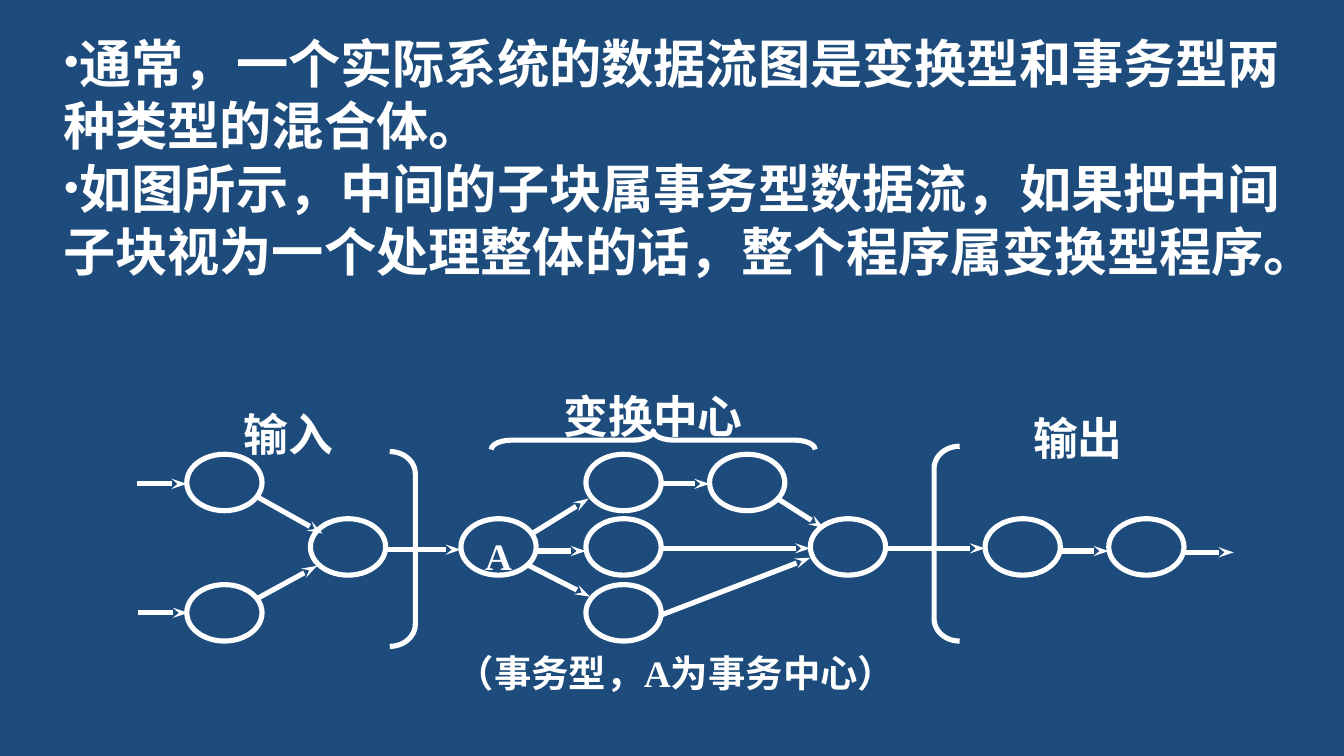
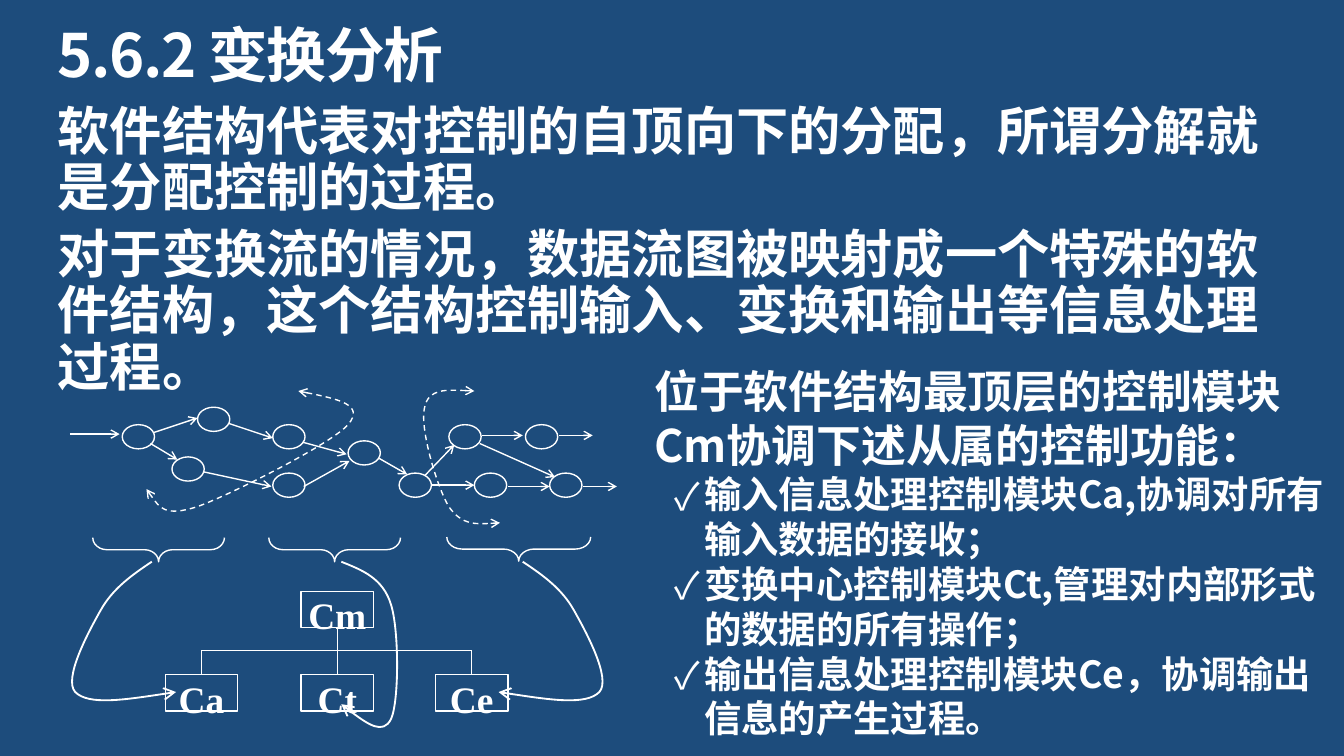
from lxml import etree
from pptx import Presentation
from pptx import util as u
from pptx.dml.color import RGBColor
from pptx.enum import dml, shapes, text
from pptx.oxml.ns import qn

PX = 9144
NAVY, WHITE = "1D4C7C", "FFFFFF"
SANS, SERIF = "Noto Sans CJK SC", "Times New Roman"
KIND = shapes.MSO_SHAPE


def px(n):
    return u.Emu(n * PX)


def rgb(code):
    return RGBColor.from_string(code)


def sub(node, tag, **attrs):
    return etree.SubElement(node, qn(tag), attrs)


def write(par, words, size, face):
    run = par.add_run()
    run.text = words
    font = run.font
    font.size, font.bold, font.name = u.Pt(size), True, face
    font.color.rgb = rgb(WHITE)
    sub(font._element, "a:ea", typeface=SANS)
    return run


def bullet(par, sign, face, left=0, hang=0, size=100):
    props = par._p.get_or_add_pPr()
    props.set("marL", str(left * PX))
    props.set("indent", str(-hang * PX))
    sub(props, "a:buSzPct", val=str(size * 1000))
    sub(props, "a:buFont", typeface=face)
    sub(props, "a:buChar", char=sign)


def box(slide, x, y, w, h, inset=(0, 0)):
    frame = slide.shapes.add_textbox(*map(px, (x, y, w, h))).text_frame
    margins(frame, *inset)
    return frame


def margins(frame, side, top):
    frame.word_wrap = True
    frame.vertical_anchor = text.MSO_ANCHOR.TOP
    frame.margin_left = frame.margin_right = px(side)
    frame.margin_top = frame.margin_bottom = px(top)


def pars(frame, items):
    for i, item in enumerate(items):
        par = frame.paragraphs[0] if i == 0 else frame.add_paragraph()
        yield i, par, item


def label(slide, x, y, w, h, words, size):
    par = box(slide, x, y, w, h).paragraphs[0]
    par.alignment = text.PP_ALIGN.CENTER
    write(par, words, size, SERIF)


def stroke(line, width):
    line.color.rgb = rgb(WHITE)
    line.width = u.Pt(width)


def tip(line, tag, kind, wide="med", long="med"):
    sub(line._get_or_add_ln(), tag, type=kind, w=wide, len=long)


def shape(slide, kind, x, y, w, h, width, words="", inset=(10, 5), turn=0, adj=None):
    item = slide.shapes.add_shape(kind, *map(px, (x, y, w, h)))
    item.shadow.inherit = False
    item.fill.background()
    stroke(item.line, width)
    item.rotation = turn
    if adj:
        item.adjustments[0] = adj
    if words:
        margins(item.text_frame, *inset)
        par = item.text_frame.paragraphs[0]
        par.alignment = text.PP_ALIGN.CENTER
        write(par, words, 20, SERIF)
    return item


def link(slide, x1, y1, x2, y2, width, head=None, start=None, end=None):
    wire = slide.shapes.add_connector(
        shapes.MSO_CONNECTOR.STRAIGHT, *map(px, (x1, y1, x2, y2)))
    stroke(wire.line, width)
    if head:
        tip(wire.line, "a:tailEnd", head, "sm", "med" if head == "stealth" else "sm")
    sub(wire._element.spPr, "a:effectLst")
    if start:
        wire.begin_connect(start, 2)
    if end:
        wire.end_connect(end, 0)


def curve(slide, points, width, dashed=False):
    pen = slide.shapes.build_freeform(*points[0], scale=PX)
    pen.add_line_segments(points[1:], close=False)
    item = pen.convert_to_shape()
    route = item._element.find(".//" + qn("a:path"))
    legs = route.findall(qn("a:lnTo"))
    for i in range(0, len(legs), 3):
        bend = sub(route, "a:cubicBezTo")
        for leg in legs[i:i + 3]:
            bend.append(leg[0])
            route.remove(leg)
    item.shadow.inherit = False
    item.fill.background()
    stroke(item.line, width)
    size = "sm" if dashed else "med"
    if dashed:
        item.line.dash_style = dml.MSO_LINE.DASH
        tip(item.line, "a:headEnd", "arrow", size, size)
    tip(item.line, "a:tailEnd", "arrow", size, size)


def mixed(slide):
    frame = box(slide, 47, 23, 922, 236)
    notes = [
        "通常，一个实际系统的数据流图是变换型和事务型两种类型的混合体。",
        "如图所示，中间的子块属事务型数据流，如果把中间子块视为一个处理整体的话，整个程序属变换型程序。",
    ]
    for _, par, words in pars(frame, notes):
        bullet(par, "•", SERIF, size=90)
        write(par, words, 28, SANS)

    bold = 2.75
    rows = {338: (139, 436, 528), 386: (231, 343, 436, 603, 733, 825), 435: (139, 436)}
    for y, cols in rows.items():
        for x in cols:
            shape(slide, KIND.OVAL, x, y, 56, 42, bold, "A" if x == 343 else "")
    flows = [
        (102, 360, 139, 360), (103, 456, 140, 456), (399, 410, 436, 410),
        (491, 360, 528, 360), (788, 410, 825, 410), (881, 411, 918, 411),
        (287, 409, 343, 409), (192, 370, 240, 397), (192, 445, 236, 421),
        (396, 397, 438, 371), (392, 420, 439, 444), (491, 408, 603, 408),
        (491, 458, 603, 415), (580, 372, 613, 393), (658, 408, 733, 408),
    ]
    for ends in flows:
        link(slide, *ends, bold, "stealth")
    shape(slide, KIND.LEFT_BRACKET, 695, 332, 19, 145, bold, adj=0.87)
    shape(slide, KIND.RIGHT_BRACKET, 290, 336, 19, 145, bold, adj=0.87)
    shape(slide, KIND.LEFT_BRACE, 479, 207, 14, 241, bold, turn=90, adj=1.08)
    label(slide, 332, 484, 342, 25, "（事务型，A为事务中心）", 20)
    label(slide, 412, 289, 148, 24, "变换中心", 24)
    label(slide, 159, 303, 111, 24, "输入", 24)
    label(slide, 737, 306, 130, 24, "输出", 24)


def prose(slide):
    par = box(slide, 43, 19, 915, 48).paragraphs[0]
    par.line_spacing = 0.9
    run = write(par, "5.6.2 变换分析", 32, SANS)
    run.font._element.set("spc", "-80")

    body = [
        "软件结构代表对控制的自顶向下的分配，所谓分解就是分配控制的过程。",
        "对于变换流的情况，数据流图被映射成一个特殊的软件结构，这个结构控制输入、变换和输出等信息处理过程。",
    ]
    for i, par, words in pars(box(slide, 43, 78, 915, 221), body):
        par.line_spacing = 0.9
        if i:
            par.space_before = u.Pt(5.6)
        write(par, words, 28, SANS)

    roles = [
        "位于软件结构最顶层的控制模块Cm协调下述从属的控制功能：",
        "输入信息处理控制模块Ca,协调对所有输入数据的接收；",
        "变换中心控制模块Ct,管理对内部形式的数据的所有操作；",
        "输出信息处理控制模块Ce，协调输出信息的产生过程。",
    ]
    for i, par, words in pars(box(slide, 477, 266, 523, 293, (10, 5)), roles):
        if i:
            par.level = 1
            bullet(par, "✓", SANS, 37, 22)
        write(par, words, 20 if i else 24, SANS)


def flow(slide):
    thin = 0.75
    rows = {303: (147,), 316: (91, 203, 334, 391), 328: (259,),
            340: (128,), 352: (203, 297, 353, 409)}
    for y, cols in rows.items():
        for x in cols:
            shape(slide, KIND.OVAL, x, y, 24, 18, thin)
    flows = [
        (52, 323, 89, 323), (114, 322, 147, 311), (112, 330, 132, 342),
        (170, 315, 203, 326), (151, 351, 202, 362), (225, 329, 258, 338),
        (226, 362, 260, 343), (282, 341, 303, 353), (316, 354, 338, 331),
        (321, 361, 353, 361), (359, 324, 389, 324), (378, 362, 409, 362),
        (357, 330, 413, 355), (416, 324, 441, 324), (434, 362, 459, 362),
    ]
    for ends in flows:
        link(slide, *ends, thin, "arrow")
    curve(slide, [(222, 291), (247, 296), (272, 301), (259, 316), (247, 330),
                  (172, 368), (147, 377), (122, 385), (116, 374), (109, 364)], thin, True)
    curve(slide, [(353, 291), (336, 290), (319, 289), (316, 303), (312, 318),
                  (325, 362), (334, 377), (344, 391), (358, 390), (372, 389)], thin, True)
    for x, y, span, adj in [(109, 360, 98, 0.58), (240, 360, 98, 0.58), (377, 355, 107, 0.63)]:
        shape(slide, KIND.LEFT_BRACE, x, y, 18, span, thin, turn=270, adj=adj)


def tree(slide):
    thin, bar = 0.75, 484

    def node(x, y, name):
        return shape(slide, KIND.RECTANGLE, x - 27, y, 54, 27, thin, name, (2, 1))

    top = node(251, 440, "Cm")
    left, mid, right = [node(x, 502, name) for x, name in
                        ((150, "Ca"), (251, "Ct"), (351, "Ce"))]
    link(slide, 251, 467, 251, 502, thin, start=top, end=mid)
    link(slide, 150, bar, 351, bar, thin)
    for x, leaf in ((150, left), (351, right)):
        link(slide, x, bar, x, 502, thin, end=leaf)

    loop = [(113, 418), (98, 428), (84, 438), (75, 454), (66, 470),
            (47, 505), (56, 515), (66, 525), (98, 520), (131, 515)]
    curve(slide, loop, 1)
    curve(slide, [(502 - x, y) for x, y in loop], 1)
    curve(slide, [(254, 418), (269, 424), (285, 430), (291, 450), (297, 469),
                  (297, 522), (291, 535), (285, 547), (269, 536), (254, 524)], 1)


def main():
    deck = Presentation()
    deck.slide_width = px(1000)
    deck.slide_height = u.Emu(px(1000) * 9 // 16)
    fill = deck.slide_master.background.fill
    fill.solid()
    fill.fore_color.rgb = rgb(NAVY)
    for parts in ((mixed,), (prose, flow, tree)):
        slide = deck.slides.add_slide(deck.slide_layouts[6])
        for draw in parts:
            draw(slide)
    deck.save("out.pptx")


if __name__ == "__main__":
    main()
